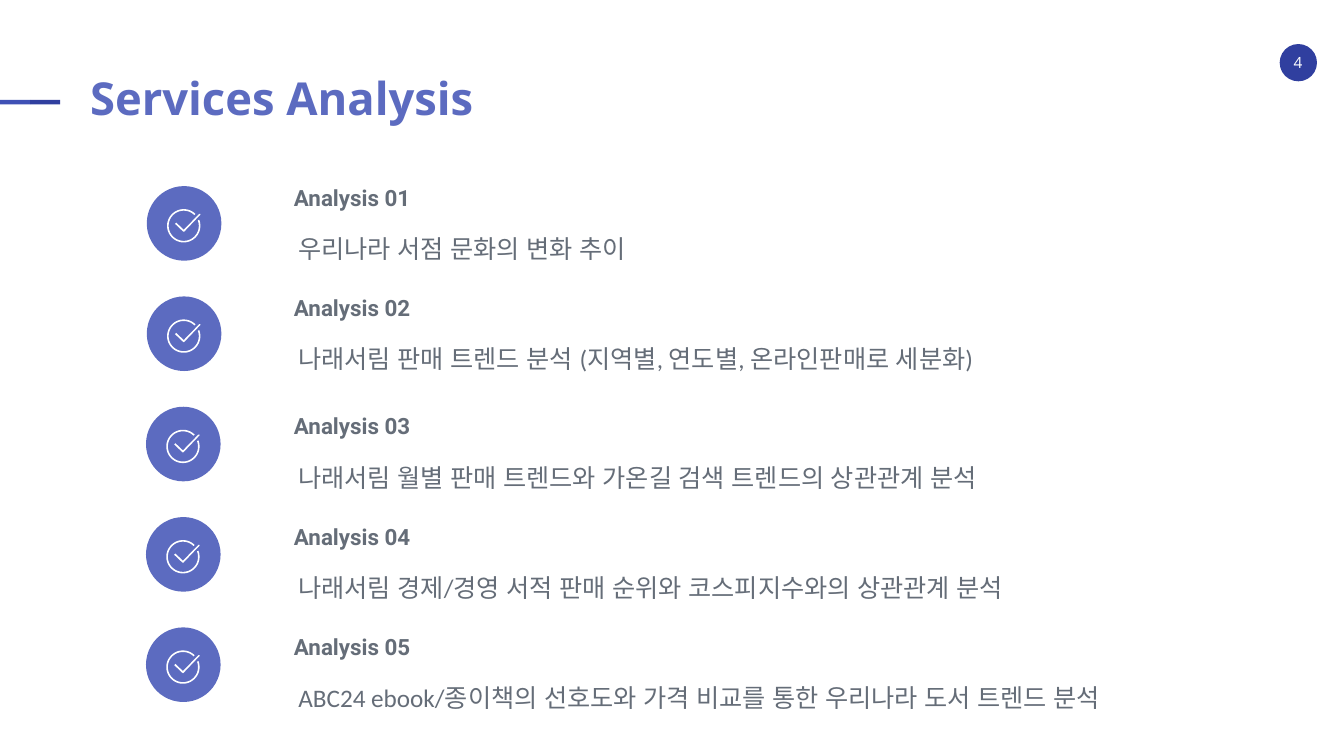
"""Builds the Services Analysis slide with five checked analysis topics."""
from dataclasses import dataclass
from math import cos, radians, sin

from lxml import etree
from pptx import Presentation
from pptx.dml.color import RGBColor
from pptx.enum.shapes import MSO_SHAPE
from pptx.enum.text import MSO_ANCHOR, MSO_AUTO_SIZE, PP_ALIGN
from pptx.oxml.ns import qn
from pptx.util import Cm, Pt

RECTANGLE, ELLIPSE, ROUNDED = MSO_SHAPE.RECTANGLE, MSO_SHAPE.OVAL, MSO_SHAPE.ROUNDED_RECTANGLE
LEFT, CENTER, JUSTIFY = PP_ALIGN.LEFT, PP_ALIGN.CENTER, PP_ALIGN.JUSTIFY
TOP = MSO_ANCHOR.TOP
NO_FIT = MSO_AUTO_SIZE.NONE

TOPICS = [
    "우리나라 서점 문화의 변화 추이",
    "나래서림 판매 트렌드 분석 (지역별, 연도별, 온라인판매로 세분화)",
    "나래서림 월별 판매 트렌드와 가온길 검색 트렌드의 상관관계 분석",
    "나래서림 경제/경영 서적 판매 순위와 코스피지수와의 상관관계 분석",
    "ABC24 ebook/종이책의 선호도와 가격 비교를 통한 우리나라 도서 트렌드 분석",
]
ROW_PITCH = 2.78
LOWER_ROWS_SHIFT = 0.2
ICON_UNITS_PER_CM = 1000
TICK = [(0, 100), (-190, -80), (-220, -50), (-10, 150),
        (10, 150), (420, -280), (420, -300), (390, -300)]


@dataclass(frozen=True)
class Theme:
    accent: str = "5C6BC0"
    bar: str = "3F51B5"
    dark: str = "303F9F"
    gray: str = "656D78"
    white: str = "FFFFFF"
    title_font: str = "Open Sans"
    heading_font: str = "Roboto"
    body_font: str = "Calibri"
    korean_font: str = "Open Sans"
    title_size: float = 32.4
    body_size: float = 18
    heading_size: float = 16
    number_size: float = 11


def write(frame, text, *, font, size, color, bold=False, align=LEFT, spacing=1.0, korean=None):
    frame.margin_left = frame.margin_right = frame.margin_top = frame.margin_bottom = 0
    frame.word_wrap = True
    frame.auto_size = NO_FIT
    frame.vertical_anchor = TOP
    para = frame.paragraphs[0]
    para.alignment = align
    para.line_spacing = spacing
    span = para.add_run()
    span.text = text
    span.font.name = font
    span.font.size = Pt(size)
    span.font.bold = bold
    span.font.color.rgb = RGBColor.from_string(color)
    if korean:
        properties = span.font._element if hasattr(span.font, "_element") else span._r.get_or_add_rPr()
        etree.SubElement(properties, qn("a:ea"), typeface=korean)


def arc(radius, angles):
    return [(radius * cos(radians(angle)), radius * sin(radians(angle))) for angle in angles]


class SlideBuilder:
    def __init__(self, page, theme):
        self.page = page
        self.theme = theme

    def paint(self, shape, color):
        shape.shadow.inherit = False
        shape.fill.solid()
        shape.fill.fore_color.rgb = RGBColor.from_string(color)
        shape.line.fill.background()

    def shape(self, kind, left, top, width, height, color):
        shape = self.page.shapes.add_shape(kind, Cm(left), Cm(top), Cm(width), Cm(height))
        self.paint(shape, color)
        return shape

    def text(self, text, left, top, width, height, **style):
        box = self.page.shapes.add_textbox(Cm(left), Cm(top), Cm(width), Cm(height))
        write(box.text_frame, text, **style)

    def title(self, text):
        title = self.page.shapes.title
        title.left, title.top, title.width, title.height = Cm(2.27), Cm(1.92), Cm(29.29), Cm(1.42)
        write(title.text_frame, text, font=self.theme.title_font, size=self.theme.title_size,
              color=self.theme.accent, bold=True, spacing=0.9)

    def page_number(self, number):
        self.shape(ELLIPSE, 32.25, 1.11, 0.94, 0.94, self.theme.dark)
        self.text(str(number), 32.33, 1.33, 0.76, 0.48, font=self.theme.title_font,
                  size=self.theme.number_size, color=self.theme.white, align=CENTER)

    def check_icon(self, center_x, center_y):
        angles = range(-21, 318, 6)
        ring = arc(420, angles) + arc(380, reversed(angles))
        builder = self.page.shapes.build_freeform(*ring[0], scale=Cm(1) / ICON_UNITS_PER_CM)
        builder.add_line_segments(ring[1:])
        builder.move_to(*TICK[0])
        builder.add_line_segments(TICK[1:])
        self.paint(builder.convert_to_shape(Cm(center_x), Cm(center_y)), self.theme.white)

    def badge(self, left, top):
        disc = self.shape(ROUNDED, left, top, 1.88, 1.88, self.theme.accent)
        disc.adjustments[0] = 0.5
        self.check_icon(left + 0.93, top + 1)

    def topic(self, row, text):
        lower = row >= 2
        self.badge(3.68 if lower else 3.7, 4.69 + row * ROW_PITCH)
        top = 4.43 + row * ROW_PITCH + (LOWER_ROWS_SHIFT if lower else 0)
        self.text(f"Analysis {row + 1:02}", 7.41, top, 25.6, 1.32, font=self.theme.heading_font,
                  size=self.theme.heading_size, color=self.theme.gray, bold=True, spacing=1.3)
        self.text(text, 7.52, top + 1.54, 25.5, 1.5, font=self.theme.body_font,
                  size=self.theme.body_size, color=self.theme.gray, align=JUSTIFY, spacing=0.9,
                  korean=self.theme.korean_font)


def main():
    deck = Presentation()
    deck.slide_width, deck.slide_height = Cm(33.87), Cm(19.05)
    page = deck.slides.add_slide(deck.slide_layouts[5])
    theme = Theme()
    builder = SlideBuilder(page, theme)
    for column, color in enumerate([theme.bar, theme.dark]):
        builder.shape(RECTANGLE, column * 0.76, 2.52, 0.76, 0.11, color)
    builder.page_number(4)
    builder.title("Services Analysis")
    for row, text in enumerate(TOPICS):
        builder.topic(row, text)
    deck.save("out.pptx")


if __name__ == "__main__":
    main()
